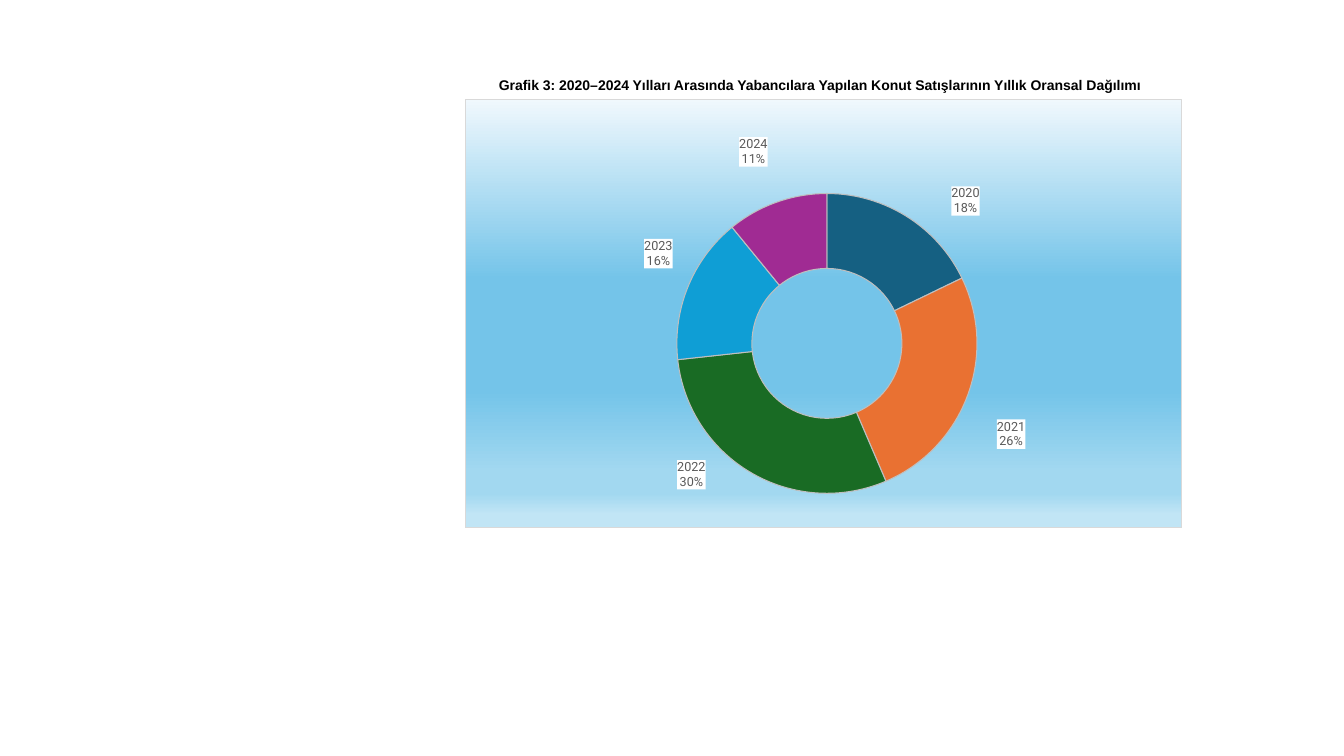
from copy import deepcopy

from pptx import Presentation
from pptx.chart.data import CategoryChartData
from pptx.dml.color import RGBColor
from pptx.enum.chart import XL_CHART_TYPE
from pptx.enum.text import MSO_AUTO_SIZE
from pptx.oxml import parse_xml
from pptx.oxml.ns import nsdecls, qn
from pptx.util import Cm, Pt

DOUGHNUT = XL_CHART_TYPE.DOUGHNUT
FIT_SHAPE = MSO_AUTO_SIZE.SHAPE_TO_FIT_TEXT

BLACK = RGBColor(0x00, 0x00, 0x00)
WHITE = RGBColor(0xFF, 0xFF, 0xFF)
LABEL_GREY = RGBColor(0x59, 0x59, 0x59)
SLICE_BORDER = RGBColor(0xBF, 0xBF, 0xBF)
CHART_BORDER = RGBColor(0xD9, 0xD9, 0xD9)
PALE_BLUE = RGBColor(0xF0, 0xF8, 0xFD)
SKY_BLUE = RGBColor(0x74, 0xC4, 0xE9)
LIGHT_BLUE = RGBColor(0xA2, 0xD8, 0xF0)
SOFT_BLUE = RGBColor(0xC1, 0xE5, 0xF5)

TITLE = ("Grafik 3: 2020–2024 Yılları Arasında Yabancılara Yapılan "
         "Konut Satışlarının Yıllık Oransal Dağılımı")

# Year, share, slice colour, label shift as a fraction of the chart
SALES = [
    ("2020", 18, RGBColor(0x15, 0x60, 0x82), (0.11, -0.11)),
    ("2021", 26, RGBColor(0xE9, 0x71, 0x32), (0.11, 0.12)),
    ("2022", 30, RGBColor(0x19, 0x6B, 0x24), (-0.11, 0.08)),
    ("2023", 16, RGBColor(0x0F, 0x9E, 0xD5), (-0.09, -0.11)),
    ("2024", 11, RGBColor(0xA0, 0x2B, 0x93), (-0.05, -0.2)),
]
GRADIENT = [(0, PALE_BLUE), (42, SKY_BLUE), (68, SKY_BLUE),
            (87, LIGHT_BLUE), (92, LIGHT_BLUE), (97, SOFT_BLUE)]


def add_title(slide):
    box = slide.shapes.add_textbox(Cm(12.32), Cm(1.8), Cm(16.89), Cm(0.69))
    frame = box.text_frame
    frame.word_wrap = False
    frame.auto_size = FIT_SHAPE
    paragraph = frame.paragraphs[0]
    paragraph.text = TITLE
    font = paragraph.font
    font.name, font.size, font.bold = "Arial", Pt(10), True
    font.color.rgb = BLACK


def style_chart_area(chart):
    """Give the chart area its vertical gradient and thin border."""
    stops = "".join(
        f'<a:gs pos="{position * 1000}"><a:srgbClr val="{color}"/></a:gs>'
        for position, color in GRADIENT)
    properties = parse_xml(
        f'<c:spPr {nsdecls("c", "a")}><a:gradFill><a:gsLst>{stops}</a:gsLst>'
        f'<a:lin ang="5400000" scaled="0"/></a:gradFill><a:ln w="{Pt(0.75)}">'
        f'<a:solidFill><a:srgbClr val="{CHART_BORDER}"/></a:solidFill>'
        '</a:ln></c:spPr>')
    chart.element.find(qn("c:chart")).addnext(properties)


def place_plot(chart):
    """Fix the inner plot area and the size of the hole."""
    plot_area = chart.element.find(".//" + qn("c:plotArea"))
    for layout in plot_area.findall(qn("c:layout")):
        plot_area.remove(layout)
    plot_area.insert(0, parse_xml(
        f'<c:layout {nsdecls("c")}><c:manualLayout>'
        '<c:layoutTarget val="inner"/>'
        '<c:xMode val="edge"/><c:yMode val="edge"/>'
        '<c:x val="0.29"/><c:y val="0.22"/><c:w val="0.43"/><c:h val="0.7"/>'
        '</c:manualLayout></c:layout>'))
    plot_area.find(".//" + qn("c:holeSize")).set("val", "57")


def add_labels(series):
    """Show year and percentage on white, moved outside the ring."""
    labels = series.data_labels
    labels.show_value = False
    labels.show_category_name = True
    labels.show_percentage = True
    labels.font.name, labels.font.size = "Roboto", Pt(9)
    labels.font.color.rgb = LABEL_GREY
    root = labels._element
    text_style = root.find(qn("c:txPr"))
    for index, (_, _, _, (shift_x, shift_y)) in enumerate(SALES):
        label = parse_xml(
            f'<c:dLbl {nsdecls("c", "a")}><c:idx val="{index}"/>'
            f'<c:layout><c:manualLayout><c:x val="{shift_x}"/>'
            f'<c:y val="{shift_y}"/></c:manualLayout></c:layout>'
            f'<c:spPr><a:solidFill><a:srgbClr val="{WHITE}"/></a:solidFill>'
            '<a:ln><a:noFill/></a:ln></c:spPr>'
            '<c:showLegendKey val="0"/><c:showVal val="0"/>'
            '<c:showCatName val="1"/><c:showSerName val="0"/>'
            '<c:showPercent val="1"/><c:showBubbleSize val="0"/>'
            '<c:separator>\n</c:separator></c:dLbl>')
        label.find(qn("c:spPr")).addnext(deepcopy(text_style))
        root.insert(index, label)
    for leader in root.findall(qn("c:showLeaderLines")):
        leader.set("val", "0")


def add_sales_chart(slide):
    data = CategoryChartData()
    data.categories = [sale[0] for sale in SALES]
    data.add_series("Series 1", [sale[1] for sale in SALES])
    chart = slide.shapes.add_chart(
        DOUGHNUT, Cm(11.71), Cm(2.49), Cm(18.08), Cm(10.82), data).chart
    chart.has_title = False
    chart.has_legend = False
    chart.font.name, chart.font.size = "Roboto", Pt(10)
    chart.font.color.rgb = BLACK
    plot = chart.plots[0]
    plot.vary_by_categories = True
    series = plot.series[0]
    for index, (_, _, color, _) in enumerate(SALES):
        slice_format = series.points[index].format
        slice_format.fill.solid()
        slice_format.fill.fore_color.rgb = color
        slice_format.line.color.rgb = SLICE_BORDER
        slice_format.line.width = Pt(0.75)
    add_labels(series)
    style_chart_area(chart)
    place_plot(chart)


def main():
    presentation = Presentation()
    presentation.slide_width = Cm(33.87)
    presentation.slide_height = Cm(19.05)
    slide = presentation.slides.add_slide(presentation.slide_layouts[6])
    add_sales_chart(slide)
    add_title(slide)
    presentation.save("out.pptx")


if __name__ == "__main__":
    main()
